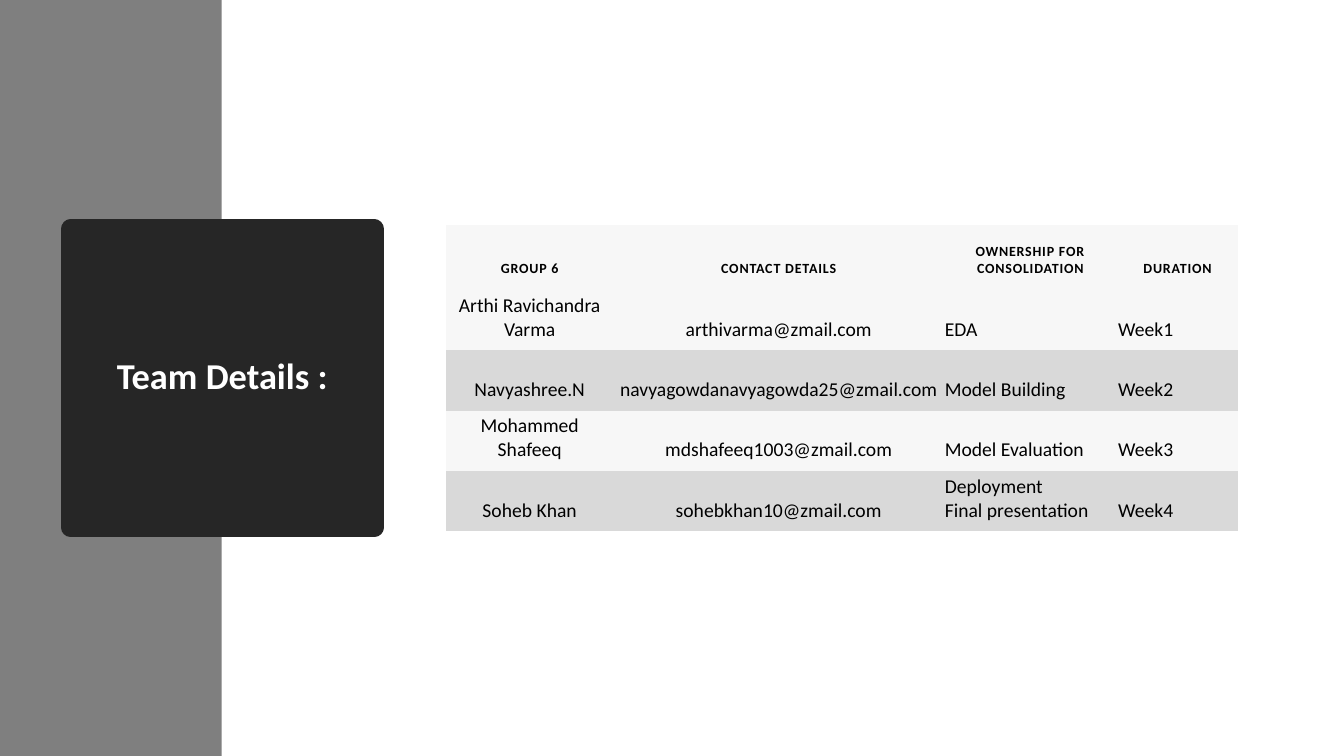
from dataclasses import dataclass

import lxml.etree
import pptx
import pptx.dml.color
import pptx.enum.shapes
import pptx.enum.text
import pptx.oxml.ns
import pptx.util

Cm = pptx.util.Cm
Pt = pptx.util.Pt
Align = pptx.enum.text.PP_ALIGN
Anchor = pptx.enum.text.MSO_ANCHOR
qn = pptx.oxml.ns.qn

NO_GRID_STYLE = "{2D5ABB26-0587-4C30-8999-92F81FD0307C}"


@dataclass(frozen=True)
class Theme:
    font: str = "Calibri"
    title_size: float = 26
    header_size: float = 10
    body_size: float = 14
    side_bar: str = "7F7F7F"
    panel: str = "262626"
    panel_text: str = "FFFFFF"
    text: str = "000000"
    light_row: str = "F7F7F7"
    dark_row: str = "D9D9D9"


THEME = Theme()

HEADERS = ["GROUP 6", "CONTACT DETAILS", "OWNERSHIP FOR CONSOLIDATION", "DURATION"]
MEMBERS = [
    ["Arthi Ravichandra Varma", "arthivarma@zmail.com", "EDA", "Week1"],
    ["Navyashree.N", "navyagowdanavyagowda25@zmail.com", "Model Building", "Week2"],
    ["Mohammed Shafeeq", "mdshafeeq1003@zmail.com", "Model Evaluation", "Week3"],
    ["Soheb Khan", "sohebkhan10@zmail.com", "Deployment\vFinal presentation", "Week4"],
]
COLUMN_WIDTHS = [4.24, 8.31, 4.37, 3.05]
HEADER_HEIGHT = 1.65
MEMBER_HEIGHT = 1.52


def rgb(value):
    return pptx.dml.color.RGBColor.from_string(value)


def paint(target, color):
    target.fill.solid()
    target.fill.fore_color.rgb = rgb(color)


def write(text_frame, text, size, color, align, bold=False, spacing=0):
    """Fill a text frame; spacing is the letter spacing in points."""
    text_frame.text = text
    for para in text_frame.paragraphs:
        para.alignment = align
        for span in para.runs:
            span.font.name = THEME.font
            span.font.size = Pt(size)
            span.font.bold = bold
            span.font.color.rgb = rgb(color)
            if spacing:
                span.font._element.set("spc", str(round(spacing * 100)))


def add_side_bar(page, height):
    bar = page.shapes.add_shape(
        pptx.enum.shapes.MSO_SHAPE.RECTANGLE, Cm(0), Cm(0), Cm(5.59), height)
    bar.shadow.inherit = False
    paint(bar, THEME.side_bar)
    bar.line.fill.background()
    page.shapes.title.element.addprevious(bar.element)


def format_title(title, text):
    """Turn the title into a dark panel whose thick line rounds the corners."""
    title.left, title.top = Cm(1.78), Cm(5.77)
    title.width, title.height = Cm(7.65), Cm(7.52)
    paint(title, THEME.panel)
    title.line.color.rgb = rgb(THEME.panel)
    title.line.width = Pt(13.75)
    outline = title.element.spPr.find(qn("a:ln"))
    lxml.etree.SubElement(outline, qn("a:round"))

    frame = title.text_frame
    frame.word_wrap = True
    frame.auto_size = pptx.enum.text.MSO_AUTO_SIZE.NONE
    frame.vertical_anchor = Anchor.MIDDLE
    write(frame, text, THEME.title_size, THEME.panel_text, Align.CENTER, bold=True)
    frame.paragraphs[0].line_spacing = 0.9


def format_cell(cell, color, side, bottom):
    paint(cell, color)
    cell.vertical_anchor = Anchor.BOTTOM
    cell.margin_left = cell.margin_top = cell.margin_right = Cm(side)
    cell.margin_bottom = Cm(bottom)


def add_team_table(page):
    height = HEADER_HEIGHT + MEMBER_HEIGHT * len(MEMBERS)
    table = page.shapes.add_table(
        len(MEMBERS) + 1, len(HEADERS), Cm(11.23), Cm(5.66),
        Cm(sum(COLUMN_WIDTHS)), Cm(height)).table
    table.first_row = table.horz_banding = False
    table._tbl.tblPr.find(qn("a:tableStyleId")).text = NO_GRID_STYLE

    for column, width in zip(table.columns, COLUMN_WIDTHS):
        column.width = Cm(width)
    for index, row in enumerate(table.rows):
        row.height = Cm(MEMBER_HEIGHT if index else HEADER_HEIGHT)

    for column, header in enumerate(HEADERS):
        cell = table.cell(0, column)
        format_cell(cell, THEME.light_row, 0.33, 0.33)
        write(cell.text_frame, header, THEME.header_size, THEME.text,
              Align.CENTER, bold=True, spacing=0.6)

    for row, member in enumerate(MEMBERS, start=1):
        color = THEME.light_row if row % 2 else THEME.dark_row
        for column, text in enumerate(member):
            cell = table.cell(row, column)
            format_cell(cell, color, 0.03, 0.23)
            align = Align.CENTER if column < 2 else Align.LEFT
            write(cell.text_frame, text, THEME.body_size, THEME.text, align)


def main():
    deck = pptx.Presentation()
    deck.slide_width, deck.slide_height = Cm(33.87), Cm(19.05)
    page = deck.slides.add_slide(deck.slide_layouts[5])
    add_side_bar(page, deck.slide_height)
    format_title(page.shapes.title, "Team Details :")
    add_team_table(page)
    deck.save("out.pptx")


if __name__ == "__main__":
    main()
